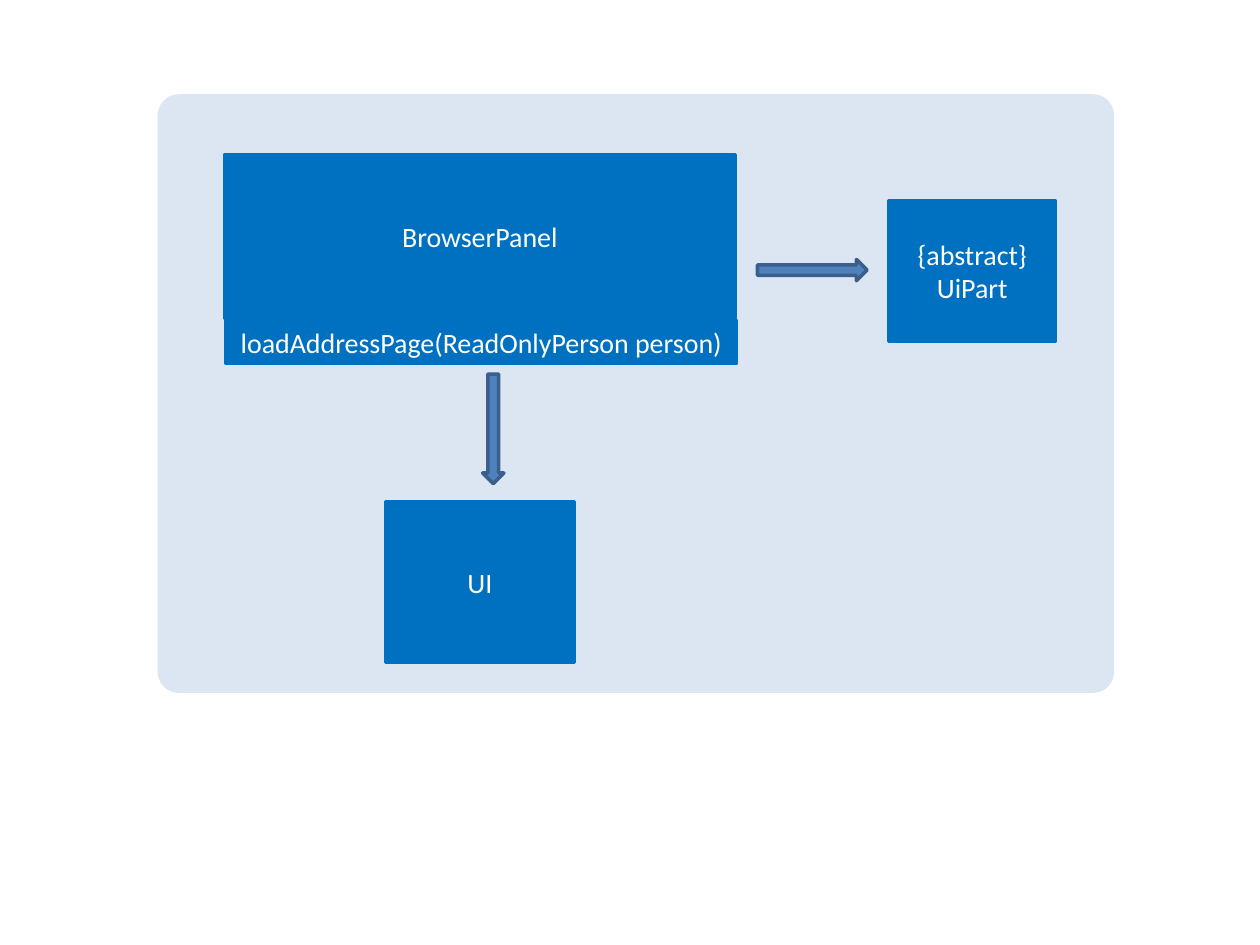
from dataclasses import dataclass

from pptx import Presentation
from pptx.dml.color import RGBColor
from pptx.enum.shapes import MSO_SHAPE as Shape
from pptx.enum.text import MSO_ANCHOR as Anchor, PP_ALIGN as Align
from pptx.util import Cm, Pt

COLORS = {
    "panel": "DCE6F2",
    "box": "0070C0",
    "text": "FFFFFF",
    "arrow": "4F81BD",
    "arrow_line": "3A5F8C",
}
FONT = "Calibri"
ARROW_LENGTH, ARROW_WIDTH = 2.21, 0.43


@dataclass(frozen=True)
class Box:
    left: float
    top: float
    width: float
    height: float
    lines: tuple[str, ...]


@dataclass(frozen=True)
class Arrow:
    left: float
    top: float
    rotation: int


BOXES = (
    Box(7.77, 10.11, 3.81, 3.25, ("UI",)),
    Box(17.91, 4.04, 3.38, 2.84, ("{abstract}", "UiPart")),
    Box(4.52, 3.12, 10.31, 3.3, ("BrowserPanel",)),
    Box(4.55, 6.45, 10.31, 0.89, ("loadAddressPage(ReadOnlyPerson person)",)),
)
ARROWS = (Arrow(8.84, 8.43, 270), Arrow(15.27, 5.23, 180))


def rgb(name: str) -> RGBColor:
    return RGBColor.from_string(COLORS[name])


def add_filled(slide, kind, left: float, top: float, width: float, height: float, fill: str):
    s = slide.shapes.add_shape(kind, Cm(left), Cm(top), Cm(width), Cm(height))
    s.shadow.inherit = False
    s.fill.solid()
    s.fill.fore_color.rgb = rgb(fill)
    return s


def set_line(s, color: str, width: float) -> None:
    s.line.color.rgb = rgb(color)
    s.line.width = Pt(width)


def draw_panel(slide) -> None:
    s = add_filled(slide, Shape.ROUNDED_RECTANGLE, 3.18, 1.9, 19.28, 12.07, "panel")
    s.adjustments[0] = 0.035
    s.line.fill.background()


def draw_box(slide, box: Box) -> None:
    s = add_filled(slide, Shape.RECTANGLE, box.left, box.top, box.width, box.height, "box")
    set_line(s, "box", 1.5)
    tf = s.text_frame
    tf.word_wrap = True
    tf.vertical_anchor = Anchor.MIDDLE
    for i, line in enumerate(box.lines):
        p = tf.add_paragraph() if i else tf.paragraphs[0]
        p.alignment = Align.CENTER
        r = p.add_run()
        r.text = line
        r.font.name = FONT
        r.font.size = Pt(16)
        r.font.color.rgb = rgb("text")


def draw_arrow(slide, arrow: Arrow) -> None:
    s = add_filled(slide, Shape.LEFT_ARROW, arrow.left, arrow.top, ARROW_LENGTH, ARROW_WIDTH, "arrow")
    s.rotation = arrow.rotation
    set_line(s, "arrow_line", 2)


def main() -> None:
    prs = Presentation()
    prs.slide_width, prs.slide_height = Cm(25.4), Cm(19.05)
    slide = prs.slides.add_slide(prs.slide_layouts[6])
    draw_panel(slide)
    for box in BOXES:
        draw_box(slide, box)
    for arrow in ARROWS:
        draw_arrow(slide, arrow)
    prs.save("out.pptx")


if __name__ == "__main__":
    main()
